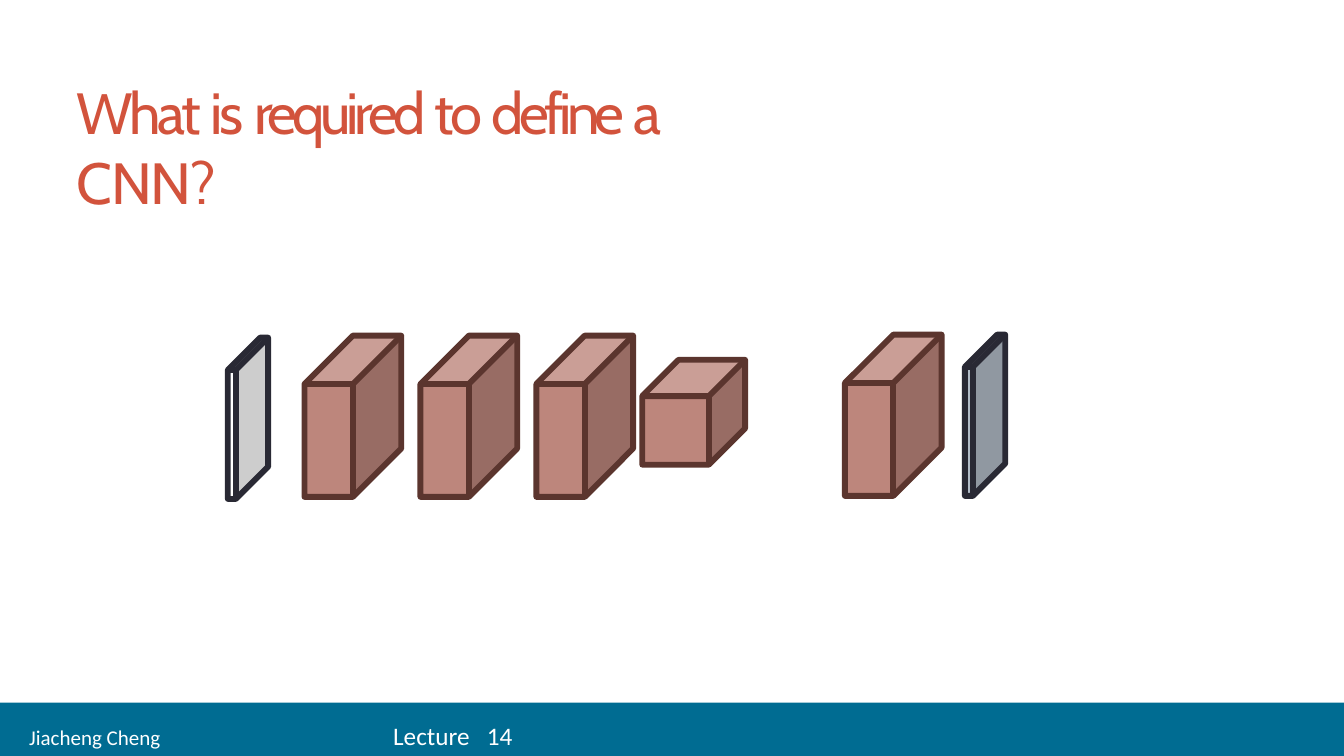
from pptx import Presentation
from pptx import util as u
from pptx.dml.color import RGBColor
from pptx.enum import shapes, text
from pptx.oxml import xmlchemy as xc
from lxml import etree

PX = 9144  # one px is a hundredth of an inch
NS = "{http://schemas.openxmlformats.org/drawingml/2006/main}"
RED = dict(front="BD867C", side="986C64", top="CA9E96", line="5B352E")
PALE = dict(front=None, side="CDCDCD", top="FFFFFF", line="292934")
GREY = dict(front=None, side="9098A1", top="C2CAD3", line="292934")


def px(n):
    return u.Emu(n * PX)


def hue(code):
    return RGBColor.from_string(code)


def put(item, vals):
    for key, val in vals.items():
        setattr(item, key, val)


def paint(shape, fill=None, line=None, width=4.17):
    shape.shadow.inherit = False
    if fill:
        shape.fill.solid()
        shape.fill.fore_color.rgb = hue(fill)
    else:
        shape.fill.background()
    if line:
        put(shape.line, dict(width=u.Pt(width)))
        shape.line.color.rgb = hue(line)
    else:
        shape.line.fill.background()


def path_of(slide, pts, close=True, **look):
    form = slide.shapes.build_freeform(*pts[0], scale=PX)
    form.add_line_segments(pts[1:], close=close)
    paint(form.convert_to_shape(), **look)


def rule(slide, x, top, end, color, width=4.17):
    line = slide.shapes.add_connector(
        shapes.MSO_CONNECTOR.STRAIGHT, px(x), px(top), px(x), px(end))
    line.line.width = u.Pt(width)
    line.line.color.rgb = hue(color)
    etree.SubElement(line._element.spPr, NS + "effectLst")


def write(para, words, size, font, color, gap=0):
    run = para.add_run()
    run.text = words
    put(run.font, dict(size=u.Pt(size), name=font))
    run.font.color.rgb = hue(color)
    if gap:
        run._r.get_or_add_rPr().set("spc", str(round(gap * 100)))


def block(slide, box, deep, look):
    x, y, w, h = box
    right, low = x + w, y + h
    fold, brow = right - deep, y + deep  # front face corner
    a, b, c = (x, brow), (x + deep, y), (right, y)
    d, e, f = (right, low - deep), (fold, low), (x, low)
    mid = (fold, brow)
    # Faces
    if look["front"]:
        path_of(slide, [a, mid, e, f], fill=look["front"])
    path_of(slide, [c, mid, e, d], fill=look["side"])
    path_of(slide, [a, b, c, mid], fill=look["top"])
    # Edges
    path_of(slide, [a, b, c, d, e, f], line=look["line"])
    path_of(slide, [a, mid, c], close=False, line=look["line"])
    rule(slide, fold, brow, low, look["line"])


def title(slide, box):
    area = slide.shapes.add_textbox(*map(px, box))
    frame = area.text_frame
    put(frame, dict(word_wrap=True, margin_left=px(1), margin_top=px(3),
                    margin_right=0, margin_bottom=0,
                    auto_size=text.MSO_AUTO_SIZE.SHAPE_TO_FIT_TEXT))
    parts = [("What ", -2.5), ("is ", -2.1), ("required ", -3.2), ("to ", -2.4),
             ("define ", -3.3), ("a ", -1.9), ("CNN?", -0.9)]
    for words, gap in parts:
        write(frame.paragraphs[0], words, 41.5, "Cabin", "D2533C", gap)


def footer(slide, box):
    bar = slide.shapes.add_shape(shapes.MSO_SHAPE.RECTANGLE, *map(px, box))
    paint(bar, fill="006C92")
    frame = bar.text_frame
    put(frame, dict(word_wrap=True, margin_left=px(29), margin_top=0, margin_bottom=0,
                    vertical_anchor=text.MSO_ANCHOR.MIDDLE))
    para = frame.paragraphs[0]
    # Tab stops for the lecture label and its number
    tabs = etree.SubElement(para._p.get_or_add_pPr(), NS + "tabLst")
    for stop in (361, 454):
        etree.SubElement(tabs, NS + "tab", pos=str(px(stop)), algn="l")
    put(para, dict(alignment=text.PP_ALIGN.LEFT, line_spacing=u.Pt(30)))
    for words, size in (("Jiacheng Cheng\t", 15), ("Lecture\t14", 18)):
        write(para, words, size, "Calibri", "FFFFFF")


def network(slide, box):
    x, y, w, h = box
    # Input plate
    block(slide, (x, y + 3, 40, h), 32, PALE)
    # Convolution layers
    for i in range(3):
        block(slide, (x + 76 + 115 * i, y + 1, 96, h), 48, RED)
    block(slide, (x + 411, y + 25, 102, 104), 36, RED)
    block(slide, (x + 612, y, 96, h), 48, RED)
    # Output plate
    rule(slide, x + w - 38, y + 32, y + h - 1, "B3BDC8", 3.75)
    block(slide, (x + w - 40, y, 40, h), 32, GREY)


def main():
    deck = Presentation()
    put(deck, dict(slide_width=px(1333), slide_height=px(750)))
    slide = deck.slides.add_slide(deck.slide_layouts[6])
    footer(slide, (0, 697, 1336, 53))
    title(slide, (75, 73, 729, 72))
    network(slide, (226, 332, 771, 160))
    deck.save("out.pptx")


if __name__ == "__main__":
    main()
